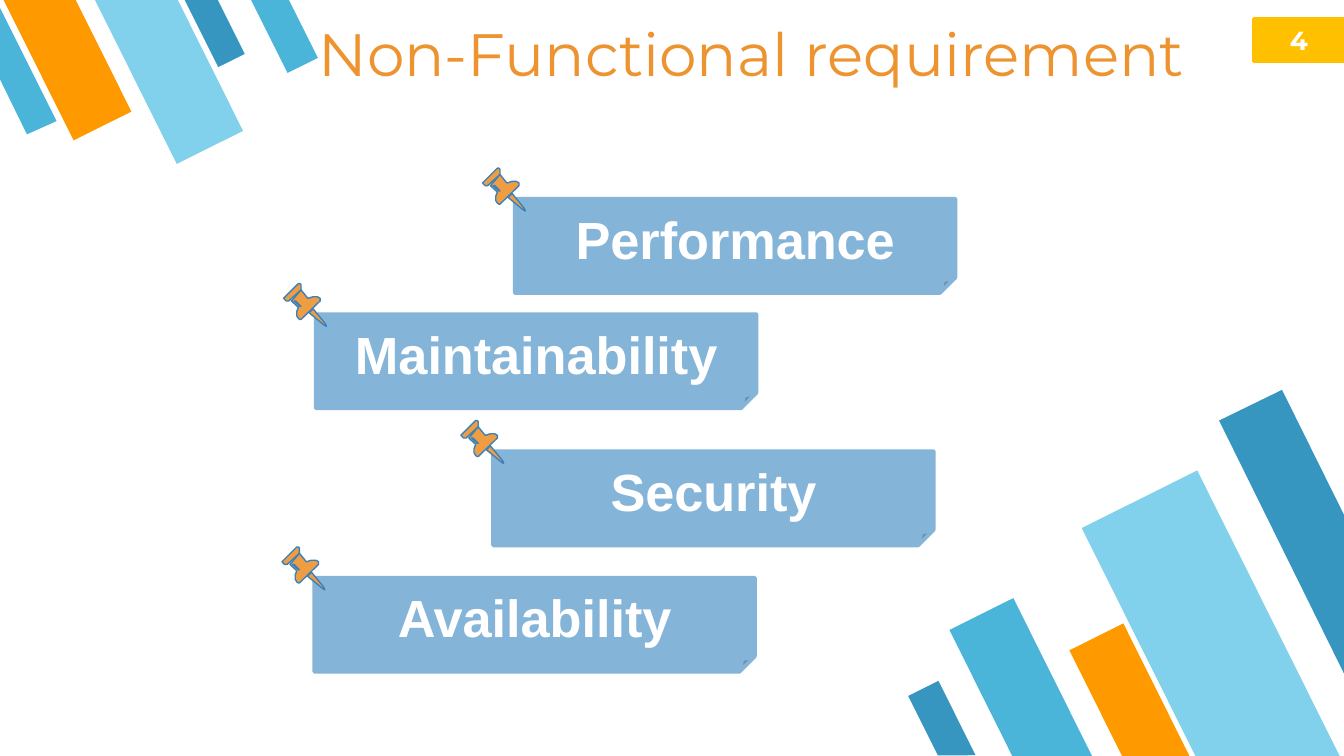
"""Build the slide on non-functional requirements with pinned notes and slanted stripes."""
from dataclasses import dataclass

from lxml.etree import SubElement
from pptx import Presentation
from pptx.dml.color import RGBColor
from pptx.enum.shapes import MSO_SHAPE
from pptx.enum.text import MSO_ANCHOR, MSO_AUTO_SIZE, PP_ALIGN
from pptx.oxml.ns import qn
from pptx.util import Cm, Pt


@dataclass(frozen=True)
class Theme:
    teal: str = "4BB5D9"
    sky: str = "81D1EC"
    orange: str = "FF9900"
    ocean: str = "3796BF"
    note: str = "85B4D9"
    pin: str = "EF9D43"
    pin_edge: str = "3A81BA"
    title: str = "ED932F"
    title_edge: str = "DE6D18"
    badge: str = "FFC000"
    white: str = "FFFFFF"
    heading_font: str = "Montserrat"
    note_font: str = "Arial"
    title_size: int = 32
    note_size: int = 28
    badge_size: int = 14


def paint(shape, fill, edge=None, edge_width=2):
    shape.shadow.inherit = False
    shape.fill.solid()
    shape.fill.fore_color.rgb = RGBColor.from_string(fill)
    if edge:
        shape.line.color.rgb = RGBColor.from_string(edge)
        shape.line.width = Pt(edge_width)
    else:
        shape.line.fill.background()


def draw_outline(contours, left=0, top=0):
    rings = [[(Cm(left + x), Cm(top + y)) for x, y in ring] for ring in contours]
    builder = slide.shapes.build_freeform(*rings[0][0], scale=1.0)
    builder.add_line_segments(rings[0][1:])
    for ring in rings[1:]:
        builder.move_to(*ring[0])
        builder.add_line_segments(ring[1:])
    return builder.convert_to_shape()


theme = Theme()
deck = Presentation()
deck.slide_width, deck.slide_height = Cm(25.4), Cm(14.29)
slide = deck.slides.add_slide(deck.slide_layouts[6])

stripes = [
    (153.5, theme.teal, (18.62, 11.43, 1.35, 3.35)),
    (153.5, theme.sky, (21.67, 9.12, 2.44, 6.07)),
    (153.5, theme.orange, (20.78, 11.89, 1.14, 2.82)),
    (153.5, theme.ocean, (17.48, 12.93, 0.64, 1.57)),
    (333.5, theme.ocean, (3.78, -0.2, 0.56, 1.42)),
    (333.5, theme.orange, (0.66, -0.46, 1.22, 3)),
    (333.5, theme.sky, (2.49, -0.51, 1.4, 3.48)),
    (333.5, theme.teal, (5.05, -0.25, 0.64, 1.57)),
]
for angle, color, frame in stripes:
    stripe = slide.shapes.add_shape(MSO_SHAPE.FLOWCHART_MANUAL_INPUT, *map(Cm, frame))
    stripe.rotation = angle
    stripe._element.spPr.find(qn("a:xfrm")).set("flipH", "1")
    paint(stripe, color)

edge_stripes = [
    (theme.ocean, [(24.23, 7.37), (23.04, 7.95), (25.4, 12.73), (25.4, 9.73)]),
    (theme.teal, [(0.51, 2.54), (1.07, 2.29), (0, 0.15), (0, 1.5)]),
]
for color, corners in edge_stripes:
    paint(draw_outline([corners]), color)

needle = [(-0.13, -0.03), (0.15, 0.2), (0.2, 0.23), (0.18, 0.18), (-0.05, -0.1)]
cap = [(-0.61, -0.3), (-0.56, -0.25), (-0.51, -0.25), (-0.48, -0.28), (-0.28, -0.46),
       (-0.28, -0.56), (-0.3, -0.58), (-0.33, -0.58), (-0.58, -0.33)]
body = [(-0.46, -0.25), (-0.33, -0.13), (-0.36, -0.05), (-0.36, 0.03), (-0.33, 0.08),
        (-0.3, 0.1), (-0.28, 0.1), (0.08, -0.25), (0.08, -0.3), (0.03, -0.33),
        (-0.05, -0.33), (-0.15, -0.3), (-0.28, -0.46)]
slot = [(-0.41, -0.25), (-0.38, -0.25), (-0.28, -0.15), (-0.3, -0.15)]

note_format = {"name": theme.note_font, "size": Pt(theme.note_size), "bold": True}
badge_format = {"name": theme.heading_font, "size": Pt(theme.badge_size), "bold": True}
title_format = {"name": theme.heading_font, "size": Pt(theme.title_size)}

labels = []
requirements = [
    ("Performance", 9.73, 3.76),
    ("Maintainability", 5.97, 5.94),
    ("Security", 9.32, 8.53),
    ("Availability", 5.94, 10.92),
]
for requirement, left, top in requirements:
    note = slide.shapes.add_shape(MSO_SHAPE.FOLDED_CORNER, Cm(left), Cm(top), Cm(8.33), Cm(1.78))
    paint(note, theme.note, theme.note)
    labels.append((note, requirement, note_format, theme.white, PP_ALIGN.CENTER))
    for pin_part in ([needle], [cap], [body, slot]):
        paint(draw_outline(pin_part, left, top), theme.pin, theme.pin_edge, 0.75)

badge = slide.shapes.add_shape(MSO_SHAPE.RECTANGLE, Cm(23.7), Cm(0.36), Cm(1.7), Cm(0.79))
paint(badge, theme.badge, theme.badge)
labels.append((badge, "4", badge_format, theme.white, PP_ALIGN.CENTER))

title = slide.shapes.add_textbox(Cm(5.77), Cm(0.2), Cm(18.26), Cm(1.63))
title.text_frame.auto_size = MSO_AUTO_SIZE.SHAPE_TO_FIT_TEXT
labels.append((title, "Non-Functional requirement", title_format, theme.title, PP_ALIGN.LEFT))

for holder, wording, text_format, color, alignment in labels:
    frame = holder.text_frame
    frame.word_wrap = True
    frame.vertical_anchor = MSO_ANCHOR.TOP if holder is title else MSO_ANCHOR.MIDDLE
    paragraph = frame.paragraphs[0]
    paragraph.alignment = alignment
    run = paragraph.add_run()
    run.text = wording
    for attribute, value in text_format.items():
        setattr(run.font, attribute, value)
    run.font.color.rgb = RGBColor.from_string(color)

title_properties = title.text_frame.paragraphs[0].runs[0].font._element
title_edge = SubElement(title_properties, qn("a:ln"), w=str(Pt(1.45)))
SubElement(SubElement(title_edge, qn("a:solidFill")), qn("a:srgbClr"), val=theme.title_edge)
title_properties.insert(0, title_edge)

deck.save("out.pptx")
